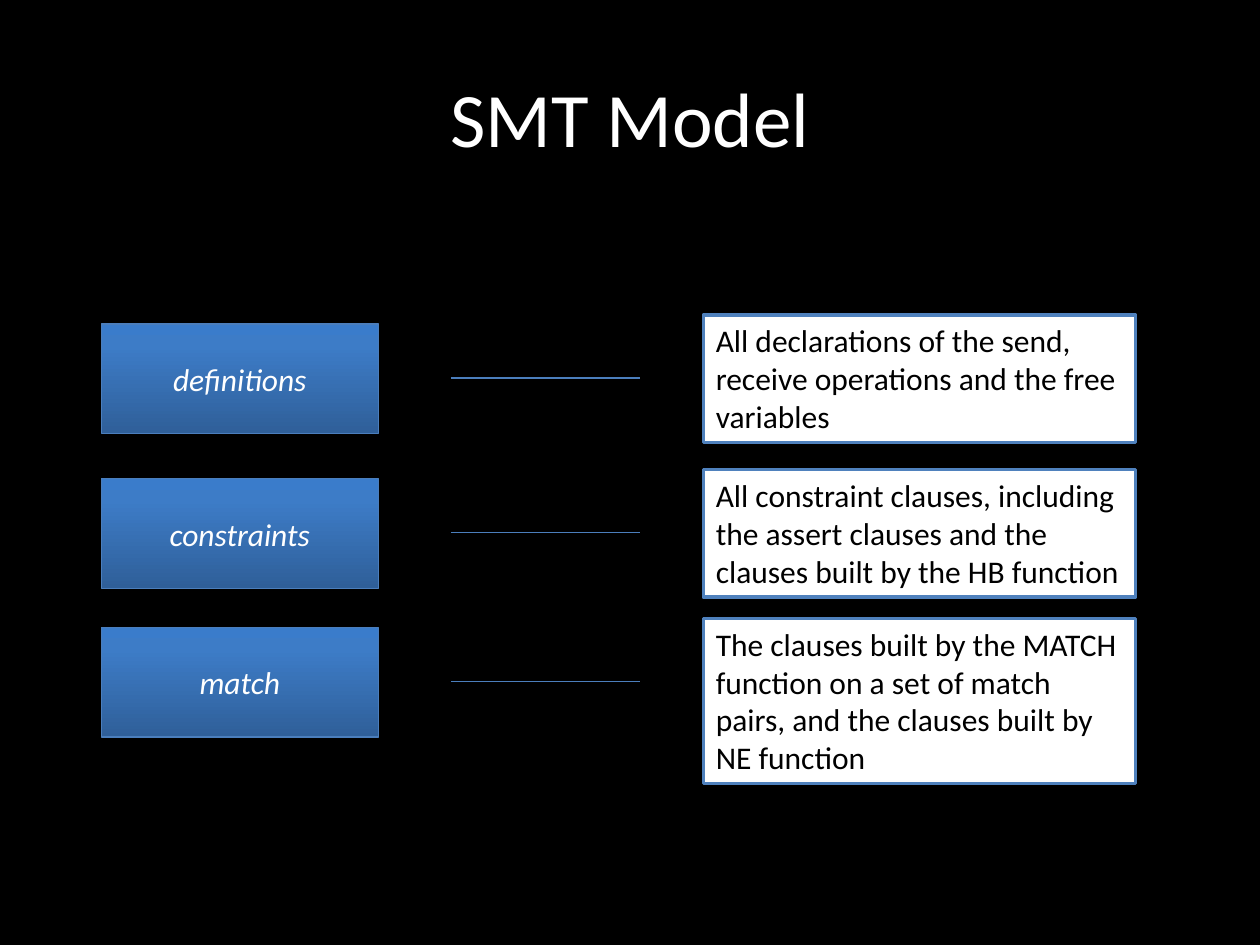
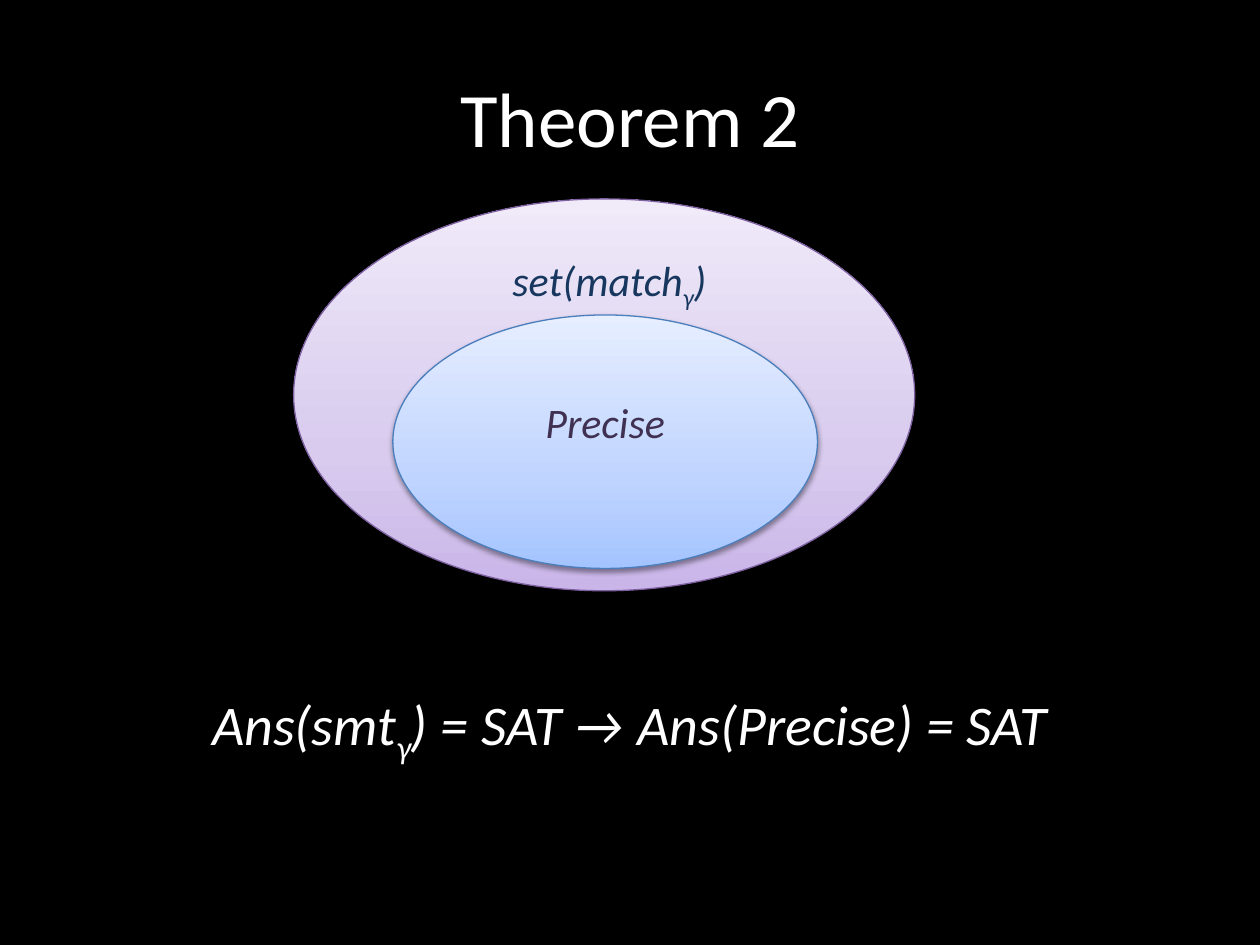
from copy import deepcopy

from lxml.etree import SubElement
from pptx import Presentation
from pptx.dml.color import RGBColor as RGB
from pptx.enum.shapes import MSO_CONNECTOR as Link, MSO_SHAPE as Form
from pptx.enum.text import MSO_ANCHOR as Anchor, MSO_AUTO_SIZE as Auto, PP_ALIGN as Align
from pptx.oxml.ns import qn
from pptx.util import Cm, Pt

COLORS = {
    "black": "000000", "white": "FFFFFF", "edge": "4B7EBC", "frame": "4F81BD",
    "violet": "7D60A0", "plum": "403152", "navy": "17375E",
}
BLENDS = {
    "blue": [(0, "2F5F99"), (0.8, "3D7CC7"), (1, "3A7CCB")],
    "lilac": [(0, "C9B5E8"), (0.35, "D8CBEE"), (1, "F0EAF9")],
    "sky": [(0, "A4C4FF"), (0.35, "BFD4FF"), (1, "E6EEFF")],
}
PARTS = [
    ("definitions", 6.53, 2.57,
     "All declarations of the send, receive operations and the free variables"),
    ("constraints", 9.65, 2.57,
     "All constraint clauses, including the assert clauses and the clauses built by the HB function"),
    ("match", 12.65, 3.33,
     "The clauses built by the MATCH function on a set of match pairs, and the clauses built by NE function"),
]


def tint(name):
    return RGB.from_string(COLORS[name])


class Deck:
    font = "Calibri"

    def __init__(self):
        self.show = Presentation()
        self.show.slide_width, self.show.slide_height = Cm(25.4), Cm(19.05)

    def start(self, title):
        self.slide = self.show.slides.add_slide(self.show.slide_layouts[6])
        self.shapes = self.slide.shapes
        back = self.slide.background.fill
        back.solid()
        back.fore_color.rgb = tint("black")
        self.label((1.27, 0.76, 22.86, 3.18), [title], 44, anchor=Anchor.MIDDLE)

    def group(self):
        self.shapes = self.slide.shapes.add_group_shape().shapes

    def letter(self, shape, texts, size, color, slant=False, align=Align.CENTER, anchor=Anchor.TOP):
        frame = shape.text_frame
        frame.word_wrap = True
        frame.vertical_anchor = anchor
        para = frame.paragraphs[0]
        para.alignment = align
        for text in texts:
            run = para.add_run()
            run.text = text
            run.font.name = self.font
            run.font.size = Pt(size)
            run.font.italic = slant
            run.font.color.rgb = tint(color)
            if text == "γ":
                run._r.get_or_add_rPr().set("baseline", "-25000")
        return frame

    def label(self, box, texts, size, color="white", **style):
        shape = self.shapes.add_textbox(*map(Cm, box))
        return self.letter(shape, texts, size, color, **style)

    def shape(self, form, box, edge, width=0.75):
        shape = self.shapes.add_shape(form, *map(Cm, box))
        shape.shadow.inherit = False
        shape.line.color.rgb = tint(edge)
        shape.line.width = Pt(width)
        return shape

    def glossy(self, form, box, blend, edge, alpha):
        shape = self.shape(form, box, edge)
        shape.fill.gradient()
        shape.fill.gradient_angle = 90
        stops = shape.element.spPr.find(qn("a:gradFill")).find(qn("a:gsLst"))
        stops.append(deepcopy(stops[-1]))
        for stop, (place, color) in zip(shape.fill.gradient_stops, BLENDS[blend]):
            stop.position = place
            stop.color.rgb = RGB.from_string(color)
        effects = shape.element.spPr.find(qn("a:effectLst"))
        shade = SubElement(effects, qn("a:outerShdw"), blurRad=str(Pt(3.1)),
                           dist=str(Pt(1.7)), dir="5400000", rotWithShape="0")
        ink = SubElement(shade, qn("a:srgbClr"), val=COLORS["black"])
        SubElement(ink, qn("a:alpha"), val=str(alpha * 1000))
        return shape

    def note(self, box, text):
        shape = self.shape(Form.RECTANGLE, box, "frame", 2)
        shape.fill.solid()
        shape.fill.fore_color.rgb = tint("white")
        frame = self.letter(shape, [text], 18, "black", align=Align.LEFT)
        frame.auto_size = Auto.SHAPE_TO_FIT_TEXT

    def line(self, left, right, y):
        line = self.shapes.add_connector(Link.STRAIGHT, Cm(left), Cm(y), Cm(right), Cm(y))
        line.line.color.rgb = tint("edge")
        line.line.width = Pt(0.75)
        SubElement(line._element.spPr, qn("a:effectLst"))


def model(deck):
    deck.start("SMT Model")
    for name, top, height, text in PARTS:
        card = deck.glossy(Form.RECTANGLE, (2.04, top, 5.59, 2.21), "blue", "edge", 35)
        deck.letter(card, [name], 18, "white", slant=True, anchor=Anchor.MIDDLE)
        deck.line(9.09, 12.9, top + 1.09)
        deck.note((14.18, top - 0.18, 8.71, height), text)


def theorem(deck):
    deck.start("Theorem 2")
    deck.label((1.27, 13.77, 22.86, 3.25),
               ["Ans(smt", "γ", ") = SAT → Ans(Precise) = SAT"], 32, slant=True)
    deck.group()
    deck.glossy(Form.OVAL, (5.92, 4.01, 12.52, 7.9), "lilac", "violet", 38)
    inner = deck.glossy(Form.OVAL, (7.92, 6.35, 8.56, 5.11), "sky", "edge", 38)
    frame = deck.letter(inner, ["Precise"], 24, "plum", slant=True)
    frame.margin_top = Cm(0.9)
    frame = deck.label((10.08, 5, 4.47, 1.27), ["set(match", "γ", ")"], 24, "navy",
                       slant=True, align=Align.LEFT)
    frame.word_wrap = False
    frame.auto_size = Auto.SHAPE_TO_FIT_TEXT


def main():
    deck = Deck()
    model(deck)
    theorem(deck)
    deck.show.save("out.pptx")


if __name__ == "__main__":
    main()
